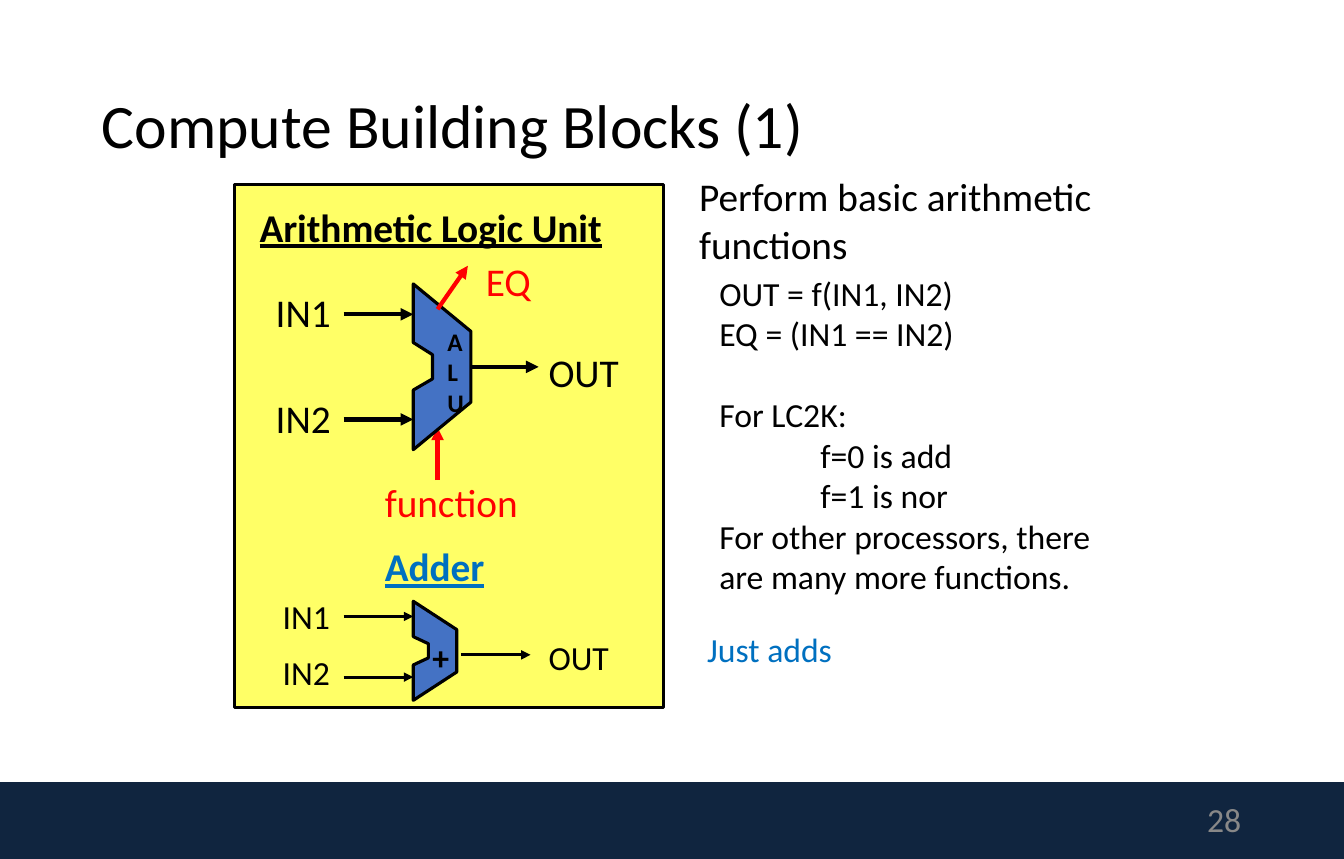
from lxml import etree
from pptx import Presentation
from pptx import util as u
from pptx.dml.color import RGBColor
from pptx.enum import shapes, text
from pptx.oxml.ns import qn

PX = 9144  # EMU per px, 100 px to the inch
COLORS = {
    "black": "000000", "red": "FF0000", "blue": "0070C0", "grey": "888888",
    "navy": "10253F", "yellow": "FFFF66", "block": "4472C4",
}


def rgb(name):
    return RGBColor.from_string(COLORS[name])


def add_text(lines, x, y, w, h, size=28, color="black", bold=False, underline=False,
             align=text.PP_ALIGN.LEFT, anchor=text.MSO_ANCHOR.TOP, right=0, spacing=None):
    tb = s.shapes.add_textbox(x * PX, y * PX, w * PX, h * PX)
    tf = tb.text_frame
    tf.word_wrap = True
    tf.vertical_anchor = anchor
    tf.margin_left, tf.margin_right = 10 * PX, right * PX
    tf.margin_top = tf.margin_bottom = 5 * PX
    for i, line in enumerate(lines.split("\n")):
        p = tf.paragraphs[0] if i == 0 else tf.add_paragraph()
        p.alignment = align
        p.line_spacing = spacing
        r = p.add_run()
        r.text = line
        r.font.name, r.font.size = "Calibri", u.Pt(size)
        r.font.bold, r.font.underline = bold, underline
        r.font.color.rgb = rgb(color)
    return tf


prs = Presentation()
prs.slide_width, prs.slide_height = 1330 * PX, 850 * PX
s = prs.slides.add_slide(prs.slide_layouts[6])

# Footer bar and yellow panel
for x, y, w, h, fill, outlined in [
    (0, 774, 1330, 76, "navy", False),
    (232, 183, 425, 517, "yellow", True),
]:
    sp = s.shapes.add_shape(shapes.MSO_SHAPE.RECTANGLE, x * PX, y * PX, w * PX, h * PX)
    sp.shadow.inherit = False
    sp.fill.solid()
    sp.fill.fore_color.rgb = rgb(fill)
    if outlined:
        sp.line.color.rgb = rgb("black")
        sp.line.width = u.Pt(2.25)
    else:
        sp.line.fill.background()

# Title and slide number
middle = text.MSO_ANCHOR.MIDDLE
add_text("Compute Building Blocks (1)", 91, 45, 1147, 164, size=44, anchor=middle, spacing=0.9)
add_text("28", 939, 788, 299, 45, size=24, color="grey", anchor=middle,
         align=text.PP_ALIGN.RIGHT, right=10)

# Explanation on the right
add_text("Perform basic arithmetic\nfunctions", 682, 166, 413, 104)
tf = add_text("OUT = f(IN1, IN2)\nEQ = (IN1 == IN2)\nFor LC2K:\nf=0 is add\nf=1 is nor\n"
              "For other processors, there\nare many more functions.",
              702, 265, 391, 333, size=24)
tf.paragraphs[2].space_before = u.Pt(29)
for p in tf.paragraphs[3:5]:
    p._p.get_or_add_pPr().set("marL", str(100 * PX))
add_text("Just adds", 690, 617, 450, 50, size=24, color="blue")

# Arrows; the function arrow passes behind the ALU, so arrows come first
for x1, y1, x2, y2, color, width in [
    (340, 311, 409, 311, "black", 3),
    (340, 415, 409, 415, "black", 3),
    (464, 363, 533, 363, "black", 3),
    (433, 475, 433, 423, "red", 3),
    (340, 610, 409, 610, "black", 2.25),
    (340, 670, 409, 670, "black", 2.25),
    (456, 648, 525, 648, "black", 2.25),
    (433, 306, 463, 263, "red", 3),
]:
    arrow = s.shapes.add_connector(shapes.MSO_CONNECTOR.STRAIGHT,
                                   x1 * PX, y1 * PX, x2 * PX, y2 * PX)
    arrow.line.color.rgb = rgb(color)
    arrow.line.width = u.Pt(width)
    etree.SubElement(arrow.line._get_or_add_ln(), qn("a:tailEnd"), type="triangle")
    etree.SubElement(arrow._element.spPr, qn("a:effectLst"))
eq_arrow = arrow

# ALU and adder bodies
for outline in [
    [(466, 328), (409, 281), (409, 339), (428, 351), (428, 375), (409, 386), (409, 445), (466, 398)],
    [(452, 623), (409, 595), (409, 630), (424, 637), (424, 651), (409, 658), (409, 693), (452, 665)],
]:
    fb = s.shapes.build_freeform(*outline[0], scale=PX)
    fb.add_line_segments(outline[1:], close=True)
    sp = fb.convert_to_shape()
    sp.shadow.inherit = False
    sp.fill.solid()
    sp.fill.fore_color.rgb = rgb("block")
    sp.line.color.rgb = rgb("black")
    sp.line.width = u.Pt(2.25)

# The EQ arrow starts on top of the ALU
s.shapes._spTree.append(eq_arrow._element)

# ALU labels
add_text("Arithmetic Logic Unit", 247, 196, 364, 57, bold=True, underline=True)
add_text("IN1", 263, 280, 75, 57)
add_text("IN2", 263, 385, 75, 57)
add_text("OUT", 533, 340, 90, 57)
add_text("EQ", 471, 250, 66, 57, color="red")
add_text("function", 371, 468, 154, 57, color="red")
add_text("A\nL\nU", 433, 318, 37, 101, size=18, bold=True)

# Adder labels
add_text("Adder", 371, 532, 120, 57, color="blue", bold=True, underline=True)
add_text("IN1", 270, 585, 67, 51, size=24)
add_text("IN2", 270, 640, 67, 51, size=24)
add_text("OUT", 533, 625, 80, 51, size=24)
add_text("+", 418, 625, 37, 51, size=24, bold=True)

prs.save("out.pptx")
